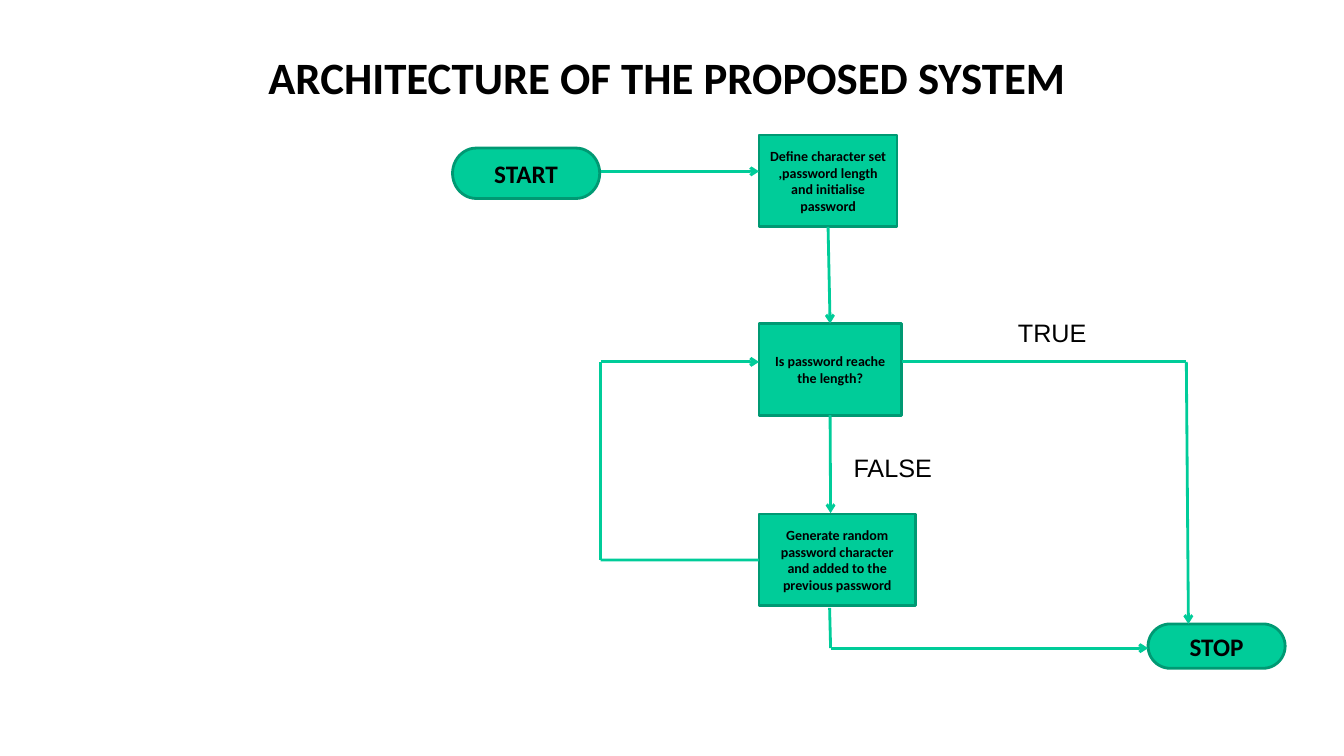
from dataclasses import dataclass
from itertools import pairwise
from typing import Optional

from lxml.etree import SubElement
from pptx import Presentation
from pptx.dml.color import RGBColor
from pptx.enum.shapes import MSO_CONNECTOR as Connector, MSO_SHAPE as Preset
from pptx.enum.text import MSO_ANCHOR as Anchor, PP_ALIGN as Align
from pptx.oxml.ns import qn
from pptx.util import Pt

TOP, LEFT, BOTTOM = 0, 1, 2


@dataclass(frozen=True)
class Theme:
    node_fill: RGBColor = RGBColor(0x00, 0xCC, 0x99)
    node_line: RGBColor = RGBColor(0x00, 0x99, 0x73)
    text: RGBColor = RGBColor(0x00, 0x00, 0x00)
    node_font: str = "Calibri"
    label_font: str = "Arial"
    title_size: float = 32
    terminal_size: float = 18
    step_size: float = 10
    label_size: float = 18
    line_width: float = 2


@dataclass(frozen=True)
class Box:
    left: float
    top: float
    width: float
    height: float


@dataclass(frozen=True)
class Node:
    name: str
    text: str
    box: Box
    terminal: bool = False


@dataclass(frozen=True)
class Label:
    text: str
    box: Box


@dataclass(frozen=True)
class Joint:
    node: str
    site: int


@dataclass(frozen=True)
class Route:
    points: tuple
    start: Optional[Joint] = None
    end: Optional[Joint] = None


THEME = Theme()
STEP_LEFT, STEP_HEIGHT = 542.2, 65.5
LOOP_X, TEST_Y, STOP_X = 429.1, 258.5, 847.4
DOWN_X, EXIT_Y = 593.3, 463

TITLE = Label("ARCHITECTURE OF THE PROPOSED SYSTEM ", Box(156.2, 15.1, 648, 59.8))

NODES = [
    Node("start", "START", Box(323.3, 105.8, 105.1, 36), True),
    Node("define", "Define character set ,password length and initialise password",
         Box(STEP_LEFT, 96.5, 98.6, STEP_HEIGHT)),
    Node("test", "Is password reache the length?",
         Box(STEP_LEFT, 231.1, 101.5, STEP_HEIGHT)),
    Node("generate", "Generate random password character and added to the previous password",
         Box(STEP_LEFT, 367.2, 111.6, STEP_HEIGHT)),
    Node("stop", "STOP", Box(820.1, 445.7, 97.9, 31.7), True),
]

ROUTES = [
    Route(((LOOP_X, 122.4), (STEP_LEFT, 122.4))),
    Route(((591.5, 162), (DOWN_X, 231.1)), Joint("define", BOTTOM), Joint("test", TOP)),
    Route(((DOWN_X, 296.6), (DOWN_X, 366.5)), Joint("test", BOTTOM)),
    Route(((644.4, TEST_Y), (STOP_X, TEST_Y), (848.9, 445.7))),
    Route(((STEP_LEFT, 400), (LOOP_X, 400), (LOOP_X, TEST_Y), (STEP_LEFT, TEST_Y)),
          Joint("generate", LEFT)),
    Route(((592.6, 434.2), (DOWN_X, EXIT_Y), (820.1, EXIT_Y))),
]

LABELS = [
    Label("TRUE", Box(720, 224.6, 70.6, 5.8)),
    Label("FALSE", Box(602.6, 319.7, 78.5, 28.8)),
]


def place(box: Box) -> tuple:
    return Pt(box.left), Pt(box.top), Pt(box.width), Pt(box.height)


def write(shape, text: str, font: str, size: float, bold: bool, align, anchor):
    frame = shape.text_frame
    frame.word_wrap = True
    frame.vertical_anchor = anchor
    frame.text = text
    paragraph = frame.paragraphs[0]
    paragraph.alignment = align
    for run in paragraph.runs:
        run.font.name = font
        run.font.size = Pt(size)
        run.font.bold = bold
        run.font.color.rgb = THEME.text
    return paragraph


def draw_title(slide, title: Label) -> None:
    shape = slide.shapes.add_textbox(*place(title.box))
    paragraph = write(shape, title.text, THEME.node_font, THEME.title_size, True,
                      Align.CENTER, Anchor.MIDDLE)
    paragraph.line_spacing = 1.5


def draw_label(slide, label: Label) -> None:
    shape = slide.shapes.add_textbox(*place(label.box))
    write(shape, label.text, THEME.label_font, THEME.label_size, False,
          Align.LEFT, Anchor.TOP)


def draw_node(slide, node: Node):
    preset = Preset.FLOWCHART_TERMINATOR if node.terminal else Preset.FLOWCHART_PROCESS
    size = THEME.terminal_size if node.terminal else THEME.step_size
    shape = slide.shapes.add_shape(preset, *place(node.box))
    shape.shadow.inherit = False
    shape.fill.solid()
    shape.fill.fore_color.rgb = THEME.node_fill
    shape.line.color.rgb = THEME.node_line
    shape.line.width = Pt(THEME.line_width)
    write(shape, node.text, THEME.node_font, size, True, Align.CENTER, Anchor.MIDDLE)
    return shape


def draw_segment(slide, begin: tuple, end: tuple):
    connector = slide.shapes.add_connector(
        Connector.STRAIGHT, *(Pt(value) for value in begin + end))
    connector.line.color.rgb = THEME.node_fill
    connector.line.width = Pt(THEME.line_width)
    SubElement(connector._element.spPr, qn("a:effectLst"))
    return connector


def draw_route(slide, route: Route, shapes: dict) -> None:
    segments = [draw_segment(slide, *pair) for pair in pairwise(route.points)]
    if route.start:
        segments[0].begin_connect(shapes[route.start.node], route.start.site)
    if route.end:
        segments[-1].end_connect(shapes[route.end.node], route.end.site)
    SubElement(segments[-1].line._get_or_add_ln(), qn("a:tailEnd"), type="arrow")


def main() -> None:
    presentation = Presentation()
    presentation.slide_width, presentation.slide_height = Pt(960), Pt(540)
    slide = presentation.slides.add_slide(presentation.slide_layouts[6])
    draw_title(slide, TITLE)
    shapes = {node.name: draw_node(slide, node) for node in NODES}
    for route in ROUTES:
        draw_route(slide, route, shapes)
    for label in LABELS:
        draw_label(slide, label)
    presentation.save("out.pptx")


if __name__ == "__main__":
    main()
